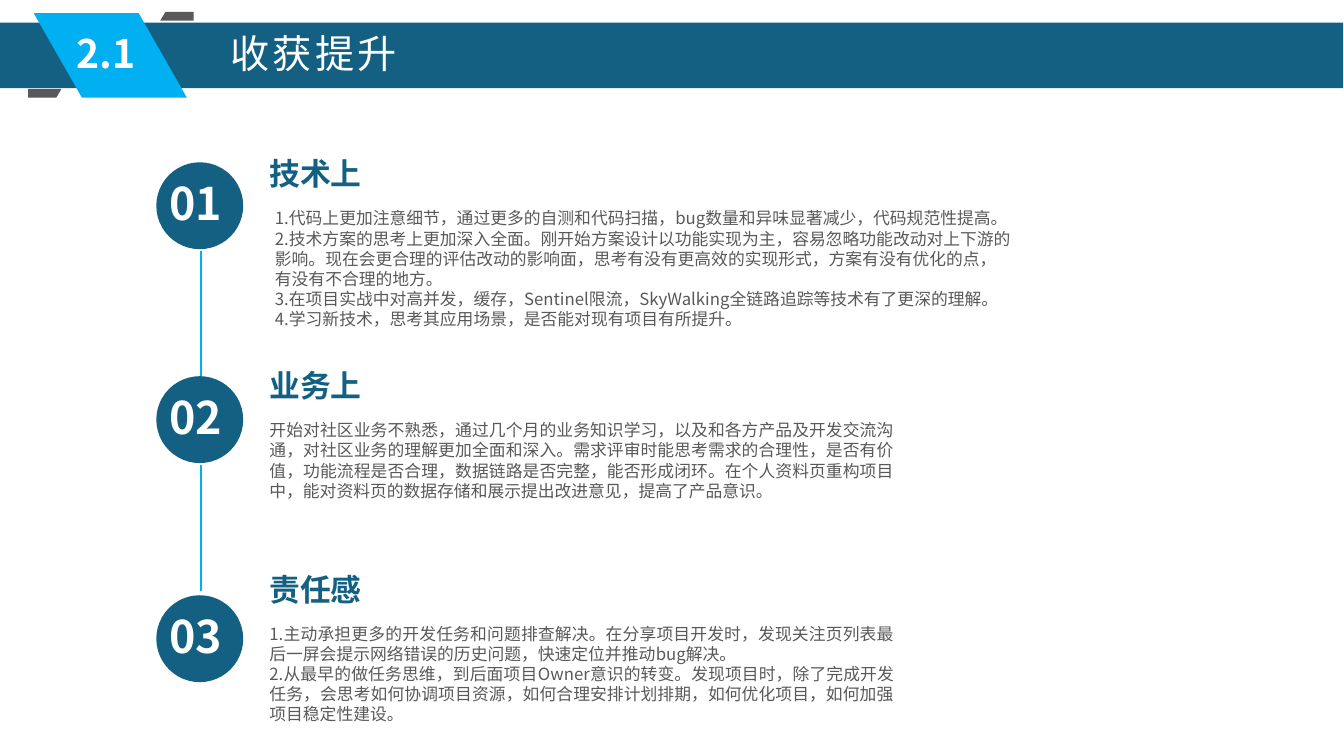
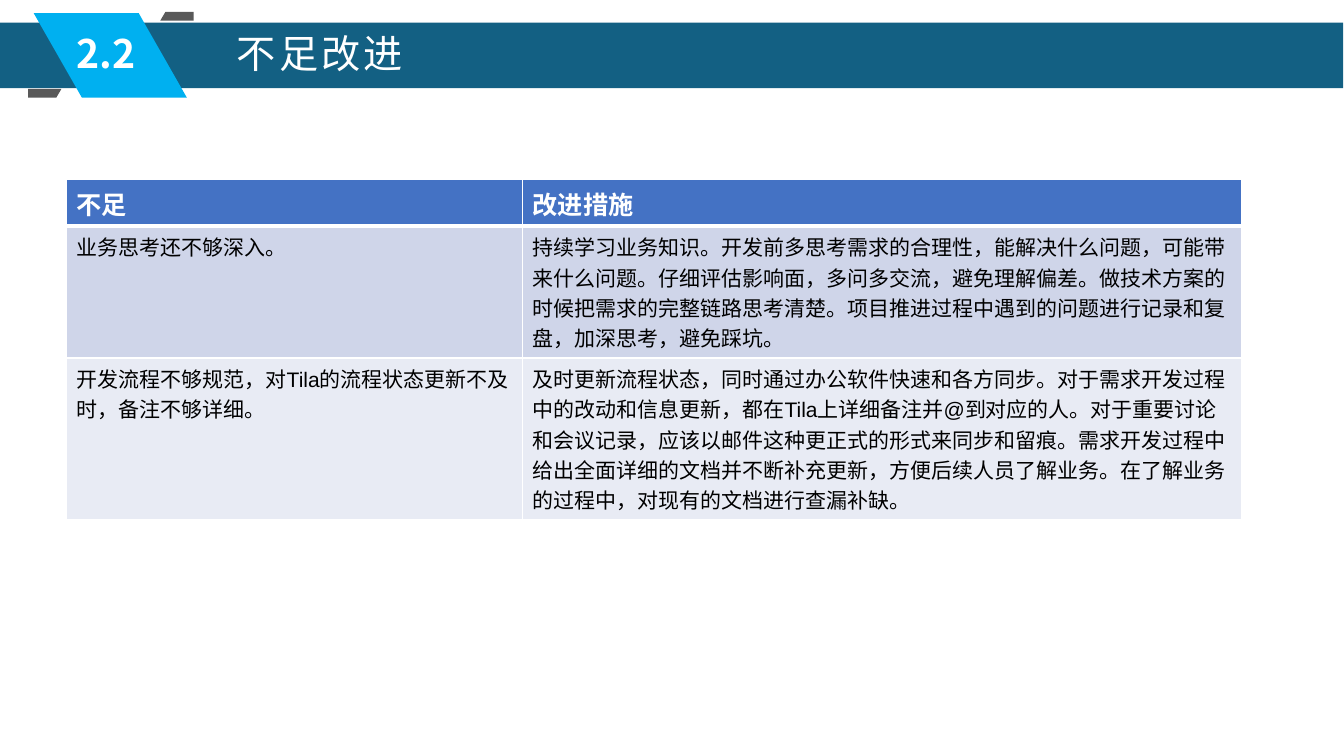
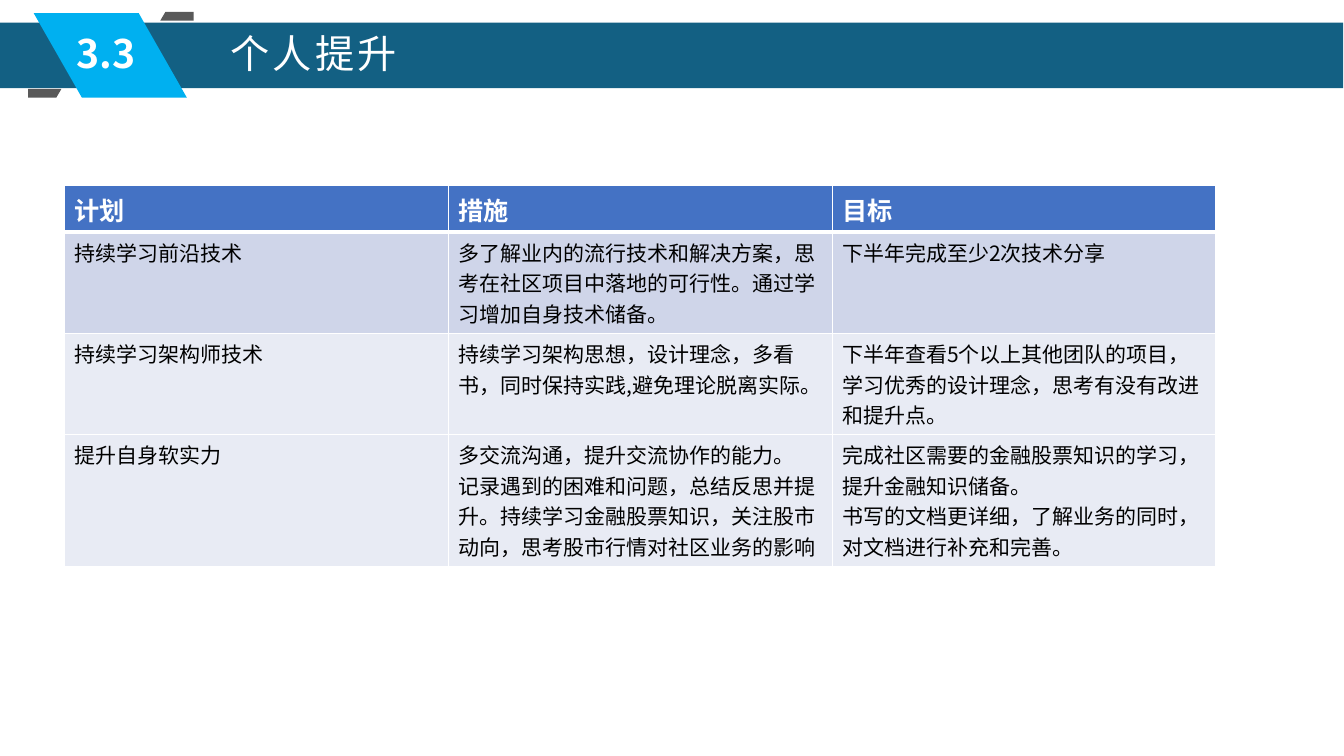
from dataclasses import dataclass

from lxml import etree
from pptx import Presentation
from pptx import util as u
from pptx.dml.color import RGBColor
from pptx.enum import shapes, text
from pptx.oxml.ns import qn


# Theme
@dataclass(frozen=True)
class Theme:
    font: str = "Noto Sans CJK SC"
    latin: str = "Arial"
    navy: str = "136083"
    sky: str = "00B0F0"
    gray: str = "595959"
    white: str = "FFFFFF"
    black: str = "000000"
    table_head: str = "4472C4"
    band_dark: str = "CFD5E9"
    band_light: str = "E8EBF4"
    title_pt: float = 28
    number_pt: float = 32
    heading_pt: float = 22
    body_pt: float = 12
    head_cell_pt: float = 18
    cell_pt: float = 15
    body_leading: float = 14.4
    heading_spacing: float = 0.97
    title_tracking: int = 230
    thin_pt: float = 0.96
    thick_pt: float = 3


T = Theme()


@dataclass(frozen=True)
class Style:
    size: float
    color: str
    bold: bool = False
    font: str = T.font
    align: text.PP_ALIGN = text.PP_ALIGN.LEFT
    spacing: float | u.Length | None = None
    tracking: int = 0
    hanging: bool = True


BADGE = Style(T.title_pt, T.white, True, align=text.PP_ALIGN.CENTER, spacing=T.heading_spacing)
TITLE = Style(T.title_pt, T.white, spacing=T.heading_spacing, tracking=T.title_tracking)
NUMBER = Style(T.number_pt, T.white, True, spacing=T.heading_spacing)
HEADING = Style(T.heading_pt, T.navy, True, align=text.PP_ALIGN.JUSTIFY, spacing=T.heading_spacing)
BODY = Style(T.body_pt, T.gray, align=text.PP_ALIGN.JUSTIFY, spacing=u.Pt(T.body_leading))
HEAD_CELL = Style(T.head_cell_pt, T.white, True)


@dataclass(frozen=True)
class Step:
    number: str
    circle_top: float
    heading_top: float
    heading: str
    body: str
    body_left: float = 6.54
    body_width: float = 16.25


@dataclass(frozen=True)
class Grid:
    left: float
    top: float
    cols: list[float]
    heights: list[float]
    rows: list[list[str]]
    font: str


# Content
STEPS = [
    Step("01", 4.09, 3.84, "技术上",
         "1.代码上更加注意细节，通过更多的自测和代码扫描，bug数量和异味显著减少，代码规范性提高。\n"
         "2.技术方案的思考上更加深入全面。刚开始方案设计以功能实现为主，容易忽略功能改动对上下游的\n"
         "影响。现在会更合理的评估改动的影响面，思考有没有更高效的实现形式，方案有没有优化的点，\n"
         "有没有不合理的地方。\n"
         "3.在项目实战中对高并发，缓存，Sentinel限流，SkyWalking全链路追踪等技术有了更深的理解。\n"
         "4.学习新技术，思考其应用场景，是否能对现有项目有所提升。",
         6.68, 24.33),
    Step("02", 9.48, 9.18, "业务上",
         "开始对社区业务不熟悉，通过几个月的业务知识学习，以及和各方产品及开发交流沟通，"
         "对社区业务的理解更加全面和深入。需求评审时能思考需求的合理性，是否有价值，"
         "功能流程是否合理，数据链路是否完整，能否形成闭环。在个人资料页重构项目中，"
         "能对资料页的数据存储和展示提出改进意见，提高了产品意识。"),
    Step("03", 15, 14.3, "责任感",
         "1.主动承担更多的开发任务和问题排查解决。在分享项目开发时，发现关注页列表最后一屏"
         "会提示网络错误的历史问题，快速定位并推动bug解决。\n"
         "2.从最早的做任务思维，到后面项目Owner意识的转变。发现项目时，除了完成开发任务，"
         "会思考如何协调项目资源，如何合理安排计划排期，如何优化项目，如何加强项目稳定性建设。"),
]

SHORTCOMINGS = Grid(1.68, 4.53, [11.49, 18.12], [1.17, 3.32, 4.08], [
    ["不足", "改进措施"],
    ["业务思考还不够深入。",
     "持续学习业务知识。开发前多思考需求的合理性，能解决什么问题，可能带来什么问题。"
     "仔细评估影响面，多问多交流，避免理解偏差。做技术方案的时候把需求的完整链路思考清楚。"
     "项目推进过程中遇到的问题进行记录和复盘，加深思考，避免踩坑。"],
    ["开发流程不够规范，对Tila的流程状态更新不及时，备注不够详细。",
     "及时更新流程状态，同时通过办公软件快速和各方同步。对于需求开发过程中的改动和信息更新，"
     "都在Tila上详细备注并@到对应的人。对于重要讨论和会议记录，应该以邮件这种更正式的形式"
     "来同步和留痕。需求开发过程中给出全面详细的文档并不断补充更新，方便后续人员了解业务。"
     "在了解业务的过程中，对现有的文档进行查漏补缺。"],
], T.latin)

PLANS = Grid(1.63, 4.68, [9.67] * 3, [1.17, 2.55, 2.55, 3.32], [
    ["计划", "措施", "目标"],
    ["持续学习前沿技术",
     "多了解业内的流行技术和解决方案，思考在社区项目中落地的可行性。通过学习增加自身技术储备。",
     "下半年完成至少2次技术分享"],
    ["持续学习架构师技术",
     "持续学习架构思想，设计理念，多看书，同时保持实践,避免理论脱离实际。",
     "下半年查看5个以上其他团队的项目，学习优秀的设计理念，思考有没有改进和提升点。"],
    ["提升自身软实力",
     "多交流沟通，提升交流协作的能力。\n"
     "记录遇到的困难和问题，总结反思并提升。持续学习金融股票知识，关注股市动向，"
     "思考股市行情对社区业务的影响",
     "完成社区需要的金融股票知识的学习，提升金融知识储备。\n"
     "书写的文档更详细，了解业务的同时，对文档进行补充和完善。"],
], T.font)


# Drawing helpers
def write(tf, content: str, style: Style) -> None:
    tf.text = content
    for p in tf.paragraphs:
        p.alignment = style.align
        if style.spacing is not None:
            p.line_spacing = style.spacing
        if not style.hanging:
            p._p.get_or_add_pPr().set("hangingPunct", "0")
        for r in p.runs:
            r.font.size = u.Pt(style.size)
            r.font.bold = style.bold
            r.font.name = style.font
            r.font.color.rgb = RGBColor.from_string(style.color)
            rpr = r.font._element
            etree.SubElement(rpr, qn("a:ea")).set("typeface", T.font)
            if style.tracking:
                rpr.set("spc", str(style.tracking))


def add_text(s, left: float, top: float, width: float, height: float,
             content: str, style: Style) -> None:
    tf = s.shapes.add_textbox(u.Cm(left), u.Cm(top), u.Cm(width), u.Cm(height)).text_frame
    tf.word_wrap = True
    write(tf, content, style)


def paint(sp, color: str) -> None:
    sp.shadow.inherit = False
    sp.fill.solid()
    sp.fill.fore_color.rgb = RGBColor.from_string(color)
    sp.line.fill.background()


def add_block(s, kind: shapes.MSO_SHAPE, left: float, top: float,
              width: float, height: float, color: str):
    sp = s.shapes.add_shape(kind, u.Cm(left), u.Cm(top), u.Cm(width), u.Cm(height))
    paint(sp, color)
    return sp


def add_outline(s, points: list[tuple[float, float]], color: str) -> None:
    pts = [(u.Cm(x), u.Cm(y)) for x, y in points]
    fb = s.shapes.build_freeform(*pts[0])
    fb.add_line_segments(pts[1:], close=True)
    paint(fb.convert_to_shape(), color)


def add_link(s, x: float, top: float, bottom: float) -> None:
    c = s.shapes.add_connector(shapes.MSO_CONNECTOR.STRAIGHT,
                               u.Cm(x), u.Cm(top), u.Cm(x), u.Cm(bottom))
    c.line.color.rgb = RGBColor.from_string(T.sky)
    c.line.width = u.Pt(1.5)
    etree.SubElement(c.element.spPr, qn("a:effectLst"))


def set_borders(cell, top: float, bottom: float) -> None:
    tcpr = cell._tc.get_or_add_tcPr()
    sides = {"a:lnL": T.thin_pt, "a:lnR": T.thin_pt, "a:lnT": top, "a:lnB": bottom}
    for i, (tag, width) in enumerate(sides.items()):
        ln = etree.Element(qn(tag), w=str(u.Pt(width)))
        fill = etree.SubElement(ln, qn("a:solidFill"))
        etree.SubElement(fill, qn("a:srgbClr")).set("val", T.white)
        tcpr.insert(i, ln)


def add_grid(s, grid: Grid) -> None:
    tb = s.shapes.add_table(len(grid.rows), len(grid.cols), u.Cm(grid.left), u.Cm(grid.top),
                            u.Cm(sum(grid.cols)), u.Cm(sum(grid.heights))).table
    for col, width in zip(tb.columns, grid.cols):
        col.width = u.Cm(width)
    fills = [T.table_head, T.band_dark]
    body = Style(T.cell_pt, T.black, font=grid.font, hanging=False)
    for i, row in enumerate(grid.rows):
        tb.rows[i].height = u.Cm(grid.heights[i])
        for j, content in enumerate(row):
            cell = tb.cell(i, j)
            write(cell.text_frame, content, body if i else HEAD_CELL)
            cell.fill.solid()
            color = fills[i] if i < len(fills) else T.band_light
            cell.fill.fore_color.rgb = RGBColor.from_string(color)
            set_borders(cell, T.thick_pt if i == 1 else T.thin_pt,
                        T.thin_pt if i else T.thick_pt)


# Shared header: band, two folded corners, badge and title
def add_page(prs, number: str, title: str, title_left: float = 5.56):
    s = prs.slides.add_slide(prs.slide_layouts[6])
    add_block(s, shapes.MSO_SHAPE.RECTANGLE, 0, 0.57, 33.85, 1.65, T.navy)
    corner = [(0.71, 2.24), (1.55, 2.24), (1.42, 2.46), (0.71, 2.46)]
    add_outline(s, corner, T.gray)
    add_outline(s, [(5.59 - x, 2.76 - y) for x, y in corner], T.gray)
    badge = add_block(s, shapes.MSO_SHAPE.PARALLELOGRAM, 0.85, 0.33, 3.86, 2.13, T.sky)
    badge.adjustments[0] = 0.57
    badge.element.spPr.get_or_add_xfrm().set("flipH", "1")
    add_text(s, 0.84, 0.69, 3.66, 1.42, number, BADGE)
    add_text(s, title_left, 0.69, 8.03, 1.4, title, TITLE)
    return s


def add_steps(s, steps: list[Step]) -> None:
    for i, step in enumerate(steps):
        top = step.circle_top
        add_block(s, shapes.MSO_SHAPE.OVAL, 3.94, top, 2.19, 2.19, T.navy)
        add_text(s, 4.02, top + 0.3, 2.1, 1.57, step.number, NUMBER)
        if i < len(steps) - 1:
            add_link(s, 5.07, top + 2.24, top + 5.41)
        add_text(s, 6.54, step.heading_top, 6.5, 1.17, step.heading, HEADING)
        add_text(s, step.body_left, step.heading_top + 1.28, step.body_width, 2.3,
                 step.body, BODY)


def main() -> None:
    prs = Presentation()
    prs.slide_width, prs.slide_height = u.Cm(33.87), u.Cm(19.05)
    add_steps(add_page(prs, "2.1", "收获提升"), STEPS)
    add_grid(add_page(prs, "2.2", "不足改进", 5.72), SHORTCOMINGS)
    add_grid(add_page(prs, "3.3", "个人提升"), PLANS)
    prs.save("out.pptx")


if __name__ == "__main__":
    main()
